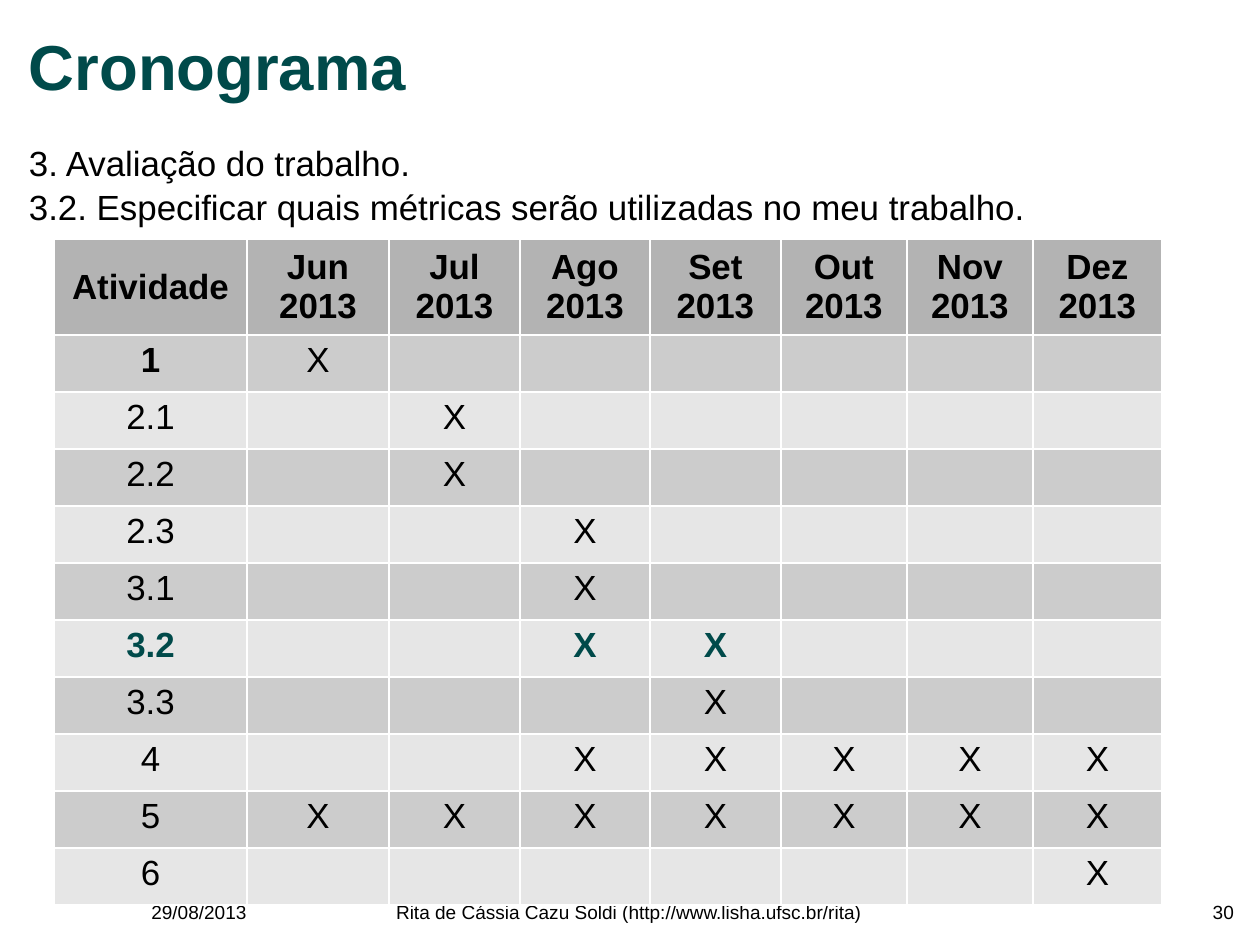
from lxml import etree
from pptx import Presentation, util as u
from pptx.dml.color import RGBColor
from pptx.enum import text as t
from pptx.oxml.ns import qn

# Content
TITLE = "Cronograma"
BODY = ["3. Avaliação do trabalho.",
        "3.2. Especificar quais métricas serão utilizadas no meu trabalho."]
MONTHS = ["Jun", "Jul", "Ago", "Set", "Out", "Nov", "Dez"]
YEAR = "2013"
TASKS = [("1", "Jun"), ("2.1", "Jul"), ("2.2", "Jul"), ("2.3", "Ago"),
         ("3.1", "Ago"), ("3.2", "Ago Set"), ("3.3", "Set"),
         ("4", "Ago Set Out Nov Dez"),
         ("5", "Jun Jul Ago Set Out Nov Dez"), ("6", "Dez")]
FOCUS = "3.2"
LEFT, MID, RIGHT = t.PP_ALIGN.LEFT, t.PP_ALIGN.CENTER, t.PP_ALIGN.RIGHT
FOOT = [("29/08/2013", 32, 334, MID),
        ("30", 900, 334, RIGHT),
        ("Rita de Cássia Cazu Soldi (http://www.lisha.ufsc.br/rita)", 286, 686, MID)]

# Look
PX = 8000
FONT = "Arial"
BLACK = RGBColor(0, 0, 0)
GREEN = RGBColor(0x00, 0x4A, 0x4A)
HEAD = RGBColor(0xB3, 0xB3, 0xB3)
BANDS = [RGBColor(0xCC, 0xCC, 0xCC), RGBColor(0xE6, 0xE6, 0xE6)]
RULE = "FFFFFF"
COLS = [193, 142, 131, 130, 131, 126, 126, 129]
HEAD_H, ROW_H = 96, 57


def px(n):
    return u.Emu(n * PX)


def place(box, x, y, w, h):
    box.left, box.top, box.width, box.height = map(px, (x, y, w, h))
    frame = box.text_frame
    frame.margin_left = frame.margin_right = 0
    frame.margin_top = frame.margin_bottom = 0
    frame.word_wrap = True
    frame.auto_size = t.MSO_AUTO_SIZE.NONE
    return frame


def style(frame, size, color=BLACK, bold=False, align=MID):
    for par in frame.paragraphs:
        par.alignment = align
        for run in par.runs:
            font = run.font
            font.name, font.size, font.bold = FONT, u.Pt(size), bold
            font.color.rgb = color


def edge(cell):
    props = cell._tc.get_or_add_tcPr()
    for i, side in enumerate("LRTB"):
        line = etree.Element(qn("a:ln" + side), w="15113")
        fill = etree.SubElement(line, qn("a:solidFill"))
        etree.SubElement(fill, qn("a:srgbClr"), val=RULE)
        props.insert(i, line)


def main():
    deck = Presentation()
    deck.slide_width, deck.slide_height = px(1260), px(945)
    slide = deck.slides.add_slide(deck.slide_layouts[1])
    title, body = slide.placeholders

    # Footer
    for words, x, w, align in FOOT:
        box = slide.shapes.add_textbox(0, 0, 0, 0)
        frame = place(box, x, 900, w, 24)
        frame.text = words
        style(frame, 12, align=align)

    # Title
    frame = place(title, 29, 29, 1057, 86)
    frame.vertical_anchor = t.MSO_ANCHOR.MIDDLE
    frame.text = TITLE
    frame.paragraphs[0].line_spacing = 0.8
    style(frame, 40, GREEN, True, LEFT)

    # Activity lines
    frame = place(body, 29, 140, 1200, 87)
    frame.text = "\n".join(BODY)
    for par in frame.paragraphs:
        props = par._p.get_or_add_pPr()
        props.set("marL", "0")
        props.set("indent", "0")
        etree.SubElement(props, qn("a:buNone"))
        par.space_before = u.Pt(0)
        par.line_spacing = 1.05
    style(frame, 22, align=LEFT)

    # Schedule table
    rows = [["Atividade"] + [m + "\n" + YEAR for m in MONTHS]]
    for task, when in TASKS:
        rows.append([task] + ["X" if m in when.split() else "" for m in MONTHS])
    high = HEAD_H + ROW_H * len(TASKS)
    table = slide.shapes.add_table(len(rows), len(COLS), px(54), px(239),
                                   px(sum(COLS)), px(high)).table
    for col, w in zip(table.columns, COLS):
        col.width = px(w)
    for r, row in enumerate(rows):
        table.rows[r].height = px(ROW_H if r else HEAD_H)
        focus = row[0] == FOCUS
        for c, words in enumerate(row):
            cell = table.cell(r, c)
            cell.margin_left = cell.margin_right = px(5)
            cell.margin_top = cell.margin_bottom = px(6)
            cell.vertical_anchor = t.MSO_ANCHOR.TOP if r else t.MSO_ANCHOR.MIDDLE
            cell.fill.solid()
            cell.fill.fore_color.rgb = BANDS[(r - 1) % 2] if r else HEAD
            edge(cell)
            if words:
                cell.text_frame.text = words
                style(cell.text_frame, 22, GREEN if focus else BLACK,
                      r == 0 or focus or words == "1")

    deck.save("out.pptx")


if __name__ == "__main__":
    main()
